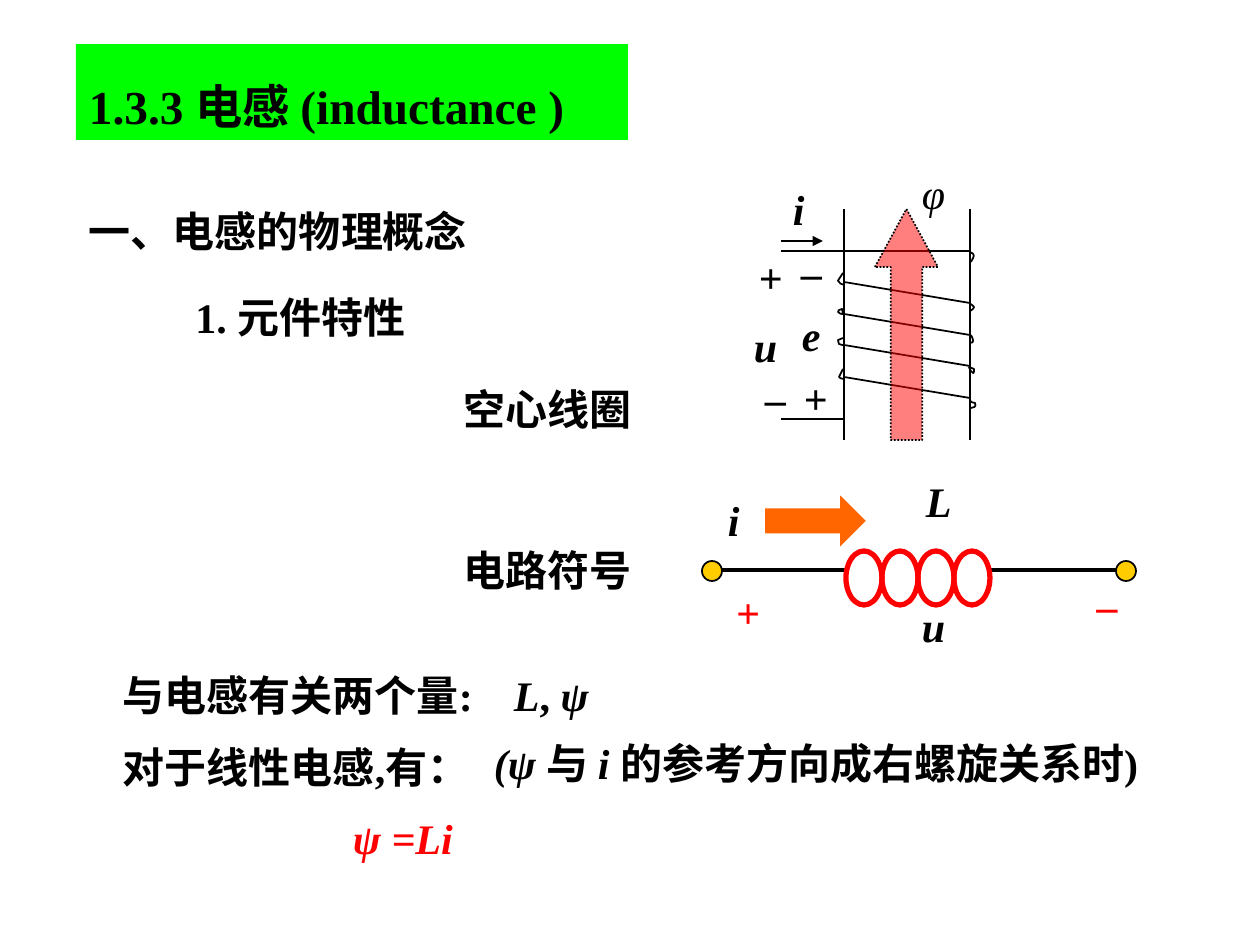
from pptx import Presentation
from pptx.dml.color import RGBColor as Rgb
from pptx.enum.dml import MSO_LINE as Dash
from pptx.enum.shapes import MSO_CONNECTOR as Link, MSO_SHAPE as Kind
from pptx.enum.text import MSO_ANCHOR as Anchor, PP_ALIGN as Align
from pptx.oxml.ns import qn
from pptx.util import Pt
from lxml.etree import SubElement as Sub

SCALE = 914400 / 126
FONT = "Times New Roman"
BLACK, RED, WHITE = "000000", "FF0000", "FFFFFF"


def px(*nums):
    return [round(n * SCALE) for n in nums]


def color(code):
    return Rgb.from_string(code)


def style(item, fill, line, width):
    item.shadow.inherit = False
    if fill:
        item.fill.solid()
        item.fill.fore_color.rgb = color(fill)
    else:
        item.fill.background()
    if line:
        item.line.color.rgb = color(line)
        item.line.width = Pt(width)
    else:
        item.line.fill.background()


def shape(host, kind, box, fill=None, line=None, width=1, adj=()):
    item = host.shapes.add_shape(kind, *px(*box))
    style(item, fill, line, width)
    for i, part in enumerate(adj):
        item.adjustments[i] = part
    return item


def wire(host, ends, width=1, arrow=False):
    item = host.shapes.add_connector(Link.STRAIGHT, *px(*ends))
    item.line.color.rgb = color(BLACK)
    item.line.width = Pt(width)
    prop = item.element.spPr
    if arrow:
        Sub(prop.find(qn("a:ln")), qn("a:tailEnd"), type="triangle")
    Sub(prop, qn("a:effectLst"))


def curl(host, knots, closed=False):
    form = host.shapes.build_freeform(*px(*knots[0]))
    form.add_line_segments([px(*knot) for knot in knots[1:]], close=closed)
    item = form.convert_to_shape()
    style(item, WHITE if closed else None, BLACK, 1)
    legs = list(item.element.iter(qn("a:lnTo")))
    for i in range(0, len(legs), 3):
        curve = legs[i]
        curve.tag = qn("a:cubicBezTo")
        for leg in legs[i + 1:i + 3]:
            curve.append(leg[0])
            leg.getparent().remove(leg)


def write(frame, paras, size=24, ink=BLACK, bold=True, slant=False,
          align=Align.CENTER, anchor=Anchor.MIDDLE, wrap=True, space=1):
    frame.word_wrap = wrap
    frame.vertical_anchor = anchor
    frame.margin_left, frame.margin_right = px(13, 13)
    frame.margin_top, frame.margin_bottom = px(6, 6)
    for i, runs in enumerate(paras):
        para = frame.add_paragraph() if i else frame.paragraphs[0]
        para.alignment = align
        para.line_spacing = space
        para.space_before = Pt(12 if i else 0)
        for words, tilt in runs:
            run = para.add_run()
            run.text = words
            font = run.font
            font.name, font.size = FONT, Pt(size)
            font.bold, font.italic = bold, tilt or slant
            font.color.rgb = color(ink)


def text(host, box, words, **look):
    frame = host.shapes.add_textbox(*px(*box)).text_frame
    paras = [[(words, False)]] if isinstance(words, str) else words
    write(frame, paras, **look)
    return frame


def label(host, box, words, **look):
    text(host, box, words, wrap=False, **look)


def notes(slide):
    title = shape(slide, Kind.RECTANGLE, (76, 44, 552, 96), "00FF00")
    write(title.text_frame, [[("1.3.3 电感 (inductance )", False)]], size=27,
          align=Align.LEFT, anchor=Anchor.BOTTOM)
    text(slide, (76, 175, 447, 87), "一、电感的物理概念",
         align=Align.LEFT, space=1.5)
    text(slide, (180, 286, 241, 62), "1. 元件特性")
    for top, words in ((378, "空心线圈"), (539, "电路符号")):
        text(slide, (449, top, 197, 62), words)

    frame = text(slide, (110, 659, 598, 215), [
        [("与电感有关两个量:\t", False), ("L", True), (", ", False), ("ψ", True)],
        [("对于线性电感,有：", False)],
        [("ψ =Li", True)]], align=Align.LEFT)
    first, _, last = frame.paragraphs
    tabs = Sub(first._p.get_or_add_pPr(), qn("a:tabLst"))
    Sub(tabs, qn("a:tab"), pos=str(px(391)[0]), algn="l")
    last._p.get_or_add_pPr().set("marL", str(px(230)[0]))
    last.runs[0].font.color.rgb = color(RED)
    text(slide, (476, 732, 680, 63), [
        [("(ψ ", True), ("与 ", False), ("i ", True),
         ("的参考方向成右螺旋关系时)", False)]], anchor=Anchor.TOP)


def coil(group):
    left, right, lead, top, foot = 844, 970, 781, 209, 440
    for ends in ((right, top, right, foot), (left, 419, lead, 419),
                 (lead, 251, right, 251), (left, foot, left, top)):
        wire(group, ends)
    for turn in range(4):
        y = (565 + 63 * turn) // 2
        wire(group, (left, y, right, y + 21))
    for knots in (
            [(843, 273), (842, 275), (838, 280), (838, 281),
             (839, 284), (842, 284), (844, 285)],
            [(971, 304), (971, 305), (974, 306), (974, 307),
             (974, 309), (970, 311), (970, 311)],
            [(843, 314), (842, 314), (839, 314), (838, 312),
             (838, 311), (839, 309), (842, 309),
             (843, 310), (842, 312), (843, 314)],
            [(971, 335), (973, 339), (975, 343), (970, 343)],
            [(843, 338), (842, 339), (839, 339), (838, 340),
             (838, 341), (839, 344), (839, 344),
             (840, 345), (844, 345), (844, 345)],
            [(969, 367), (970, 368), (973, 368), (974, 369),
             (974, 370), (974, 374), (973, 373),
             (970, 372), (970, 369), (969, 367)],
            [(843, 369), (842, 372), (840, 374), (839, 377),
             (839, 378), (842, 379), (844, 379),
             (844, 379), (844, 378), (844, 377)],
            [(970, 398), (970, 399), (970, 401), (971, 402),
             (971, 403), (974, 402), (975, 403),
             (977, 407), (973, 408), (971, 408)],
            [(970, 252), (976, 255), (974, 256), (971, 262)]):
        curl(group, knots, knots[0] == knots[-1])

    flux = shape(group, Kind.UP_ARROW, (875, top, 63, 231), RED, BLACK,
                 adj=(0.5, 0.92))
    flux.line.dash_style = Dash.ROUND_DOT
    tint = flux.element.spPr.find(qn("a:solidFill"))[0]
    Sub(tint, qn("a:alpha"), val="50000")
    wire(group, (lead, 241, 823, 241), arrow=True)

    label(group, (909, 162, 47, 62), "φ", bold=False, slant=True)
    for box, words in (((780, 177, 37, 63), "i"), ((741, 314, 49, 63), "u"),
                       ((789, 304, 43, 62), "e")):
        label(group, box, words, slant=True)
    for box, words in (((746, 246, 48, 62), "+"), ((752, 367, 45, 62), "–"),
                       ((788, 241, 45, 62), "–"), ((791, 367, 49, 62), "+")):
        label(group, box, words)


def symbol(group):
    arrow = shape(group, Kind.RIGHT_ARROW, (767, 500, 96, 42), "FF6600",
                  "FF6600", 2.25, (0.5, 0.5))
    Sub(arrow.element.spPr.find(qn("a:ln")), qn("a:miter"), lim="800000")
    for start in (722, 990):
        wire(group, (start, 570, start + 126, 570), 2.25)
    for x in (702, 1116):
        shape(group, Kind.OVAL, (x, 561, 20, 20), "FFCC00", BLACK)
    for turn in range(4):
        shape(group, Kind.OVAL, (846 + 36 * turn, 551, 36, 54),
              line=RED, width=3)
    for box, words, ink in (
            ((909, 594, 49, 63), "u", BLACK), ((913, 470, 50, 62), "L", BLACK),
            ((715, 488, 37, 63), "i", BLACK), ((723, 581, 48, 62), "+", RED),
            ((1084, 574, 45, 62), "–", RED)):
        label(group, box, words, ink=ink, slant=True)


def main():
    deck = Presentation()
    deck.slide_width, deck.slide_height = px(1260, 945)
    slide = deck.slides.add_slide(deck.slide_layouts[6])
    for draw in (coil, symbol):
        draw(slide.shapes.add_group_shape())
    notes(slide)
    deck.save("out.pptx")


if __name__ == "__main__":
    main()
